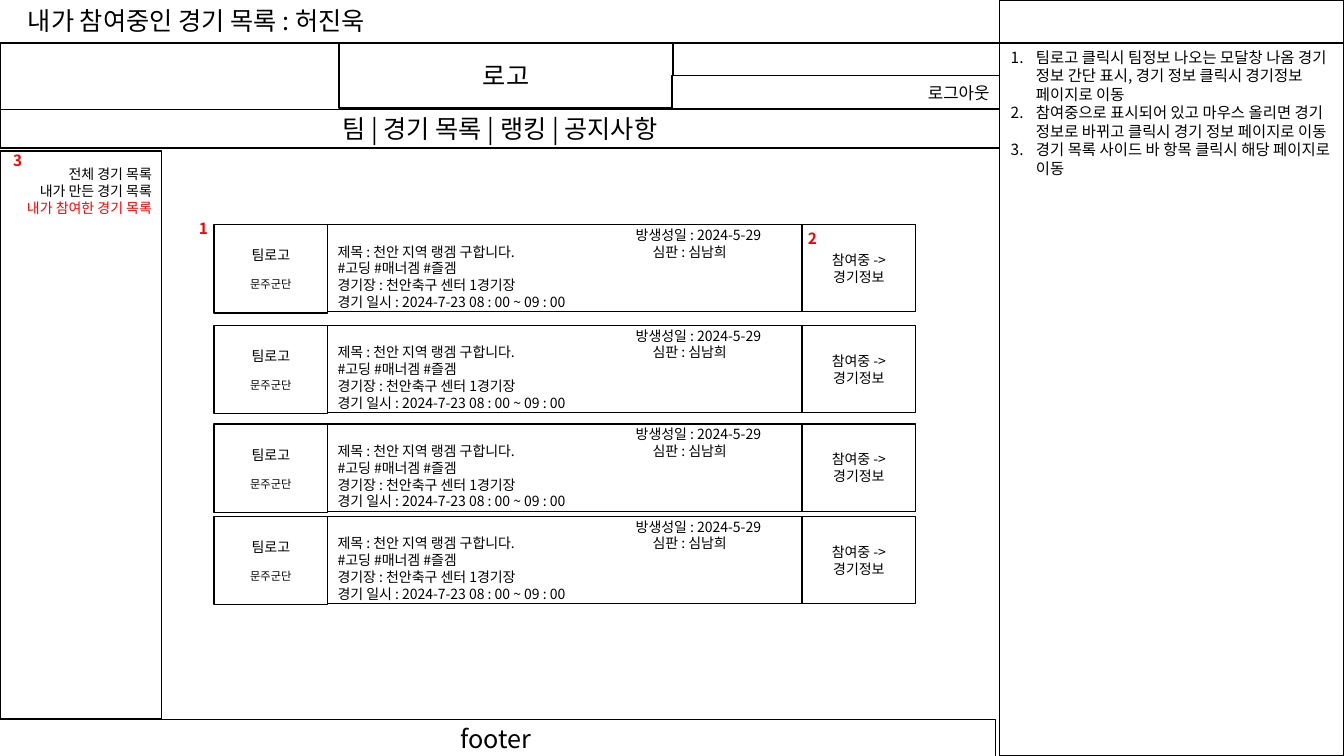
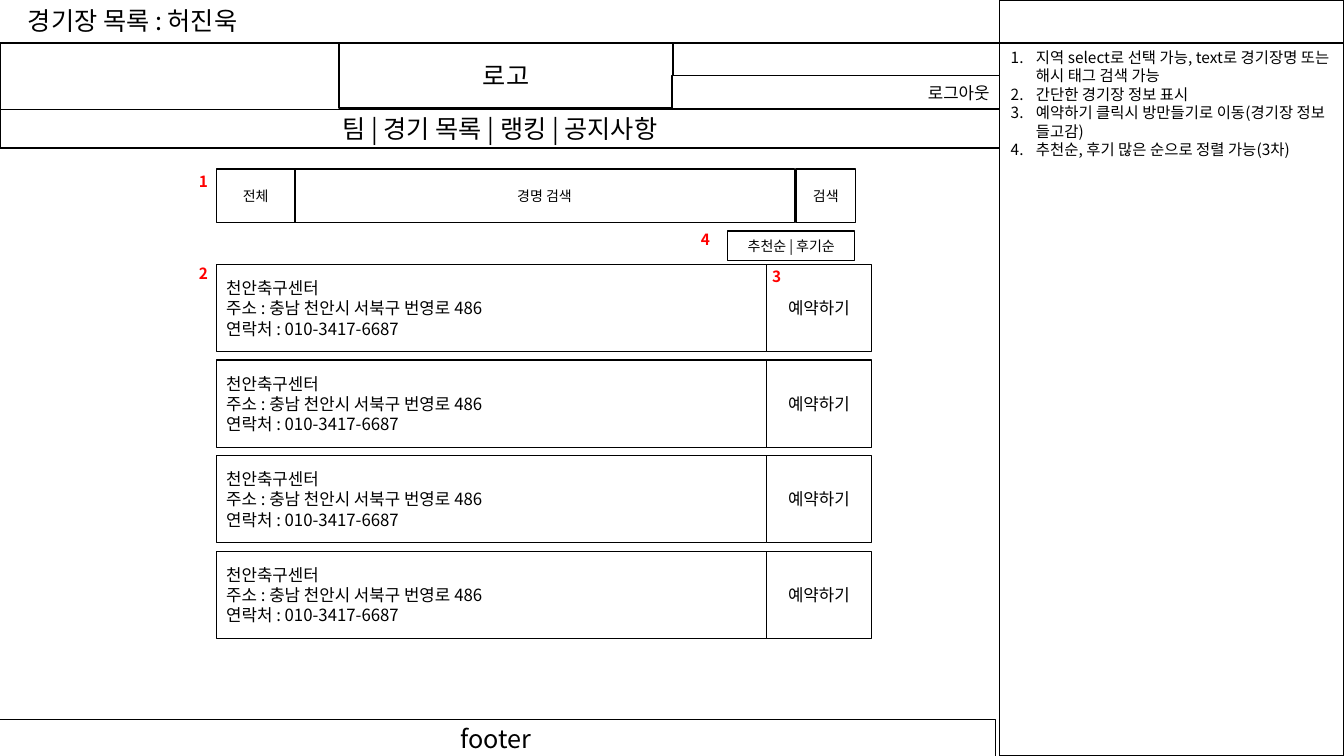
from dataclasses import dataclass
from typing import NamedTuple

from lxml import etree
from pptx import Presentation
from pptx.dml.color import RGBColor
from pptx.enum.shapes import MSO_SHAPE
from pptx.enum.text import MSO_ANCHOR, MSO_AUTO_SIZE, PP_ALIGN
from pptx.oxml.ns import qn
from pptx.shapes.autoshape import Shape
from pptx.slide import Slide, SlideLayout
from pptx.text.text import TextFrame
from pptx.util import Emu, Pt

RECTANGLE = MSO_SHAPE.RECTANGLE
LEFT, CENTER, RIGHT = PP_ALIGN.LEFT, PP_ALIGN.CENTER, PP_ALIGN.RIGHT
TOP, MIDDLE = MSO_ANCHOR.TOP, MSO_ANCHOR.MIDDLE
NO_AUTOFIT = MSO_AUTO_SIZE.NONE
EMU_PER_PX = 9525


@dataclass(frozen=True)
class Theme:
    font: str = "Noto Sans CJK KR"
    ink: RGBColor = RGBColor(0x00, 0x00, 0x00)
    paper: RGBColor = RGBColor(0xFF, 0xFF, 0xFF)
    accent: RGBColor = RGBColor(0xFF, 0x00, 0x00)
    heading: int = 18
    regular: int = 12
    note: int = 11
    small: int = 10
    tiny: int = 8
    line_width: int = 1
    line_height: float = 1.2


THEME = Theme()


class Box(NamedTuple):
    left: int
    top: int
    width: int
    height: int


class Line(NamedTuple):
    text: str
    size: int = THEME.small
    color: RGBColor = THEME.ink
    tab: int = 0
    space_before: int = 0


class Badge(NamedTuple):
    number: str
    left: int
    top: int


SLIDE_WIDTH, SLIDE_HEIGHT = 1280, 720
TITLE_BOX = Box(17, 0, 446, 38)
NOTES_BOX = Box(953, 41, 324, 187)
NOTE_INDENT = 24
PANELS = (Box(952, 41, 328, 679), Box(952, 0, 328, 41))

CARD_TOPS = (214, 310, 404, 492)
CARD_LINES = (
    Line("\t방생성일 : 2024-5-29", tab=284),
    Line("제목 : 천안 지역 랭겜 구합니다.\t심판 : 심남희", tab=300),
    Line("#고딩 #매너겜 #즐겜"),
    Line("경기장 : 천안축구 센터 1경기장"),
    Line("경기 일시 : 2024-7-23 08 : 00 ~ 09 : 00"),
)
TEAM_LINES = (Line("팀로고"), Line("문주군단", THEME.tiny, space_before=10))
SIDEBAR_LINES = (
    Line("전체 경기 목록"),
    Line("내가 만든 경기 목록"),
    Line("내가 참여한 경기 목록", color=THEME.accent),
)
VENUE_TOP, VENUE_PITCH, VENUE_COUNT = 252, 91, 4
VENUE_LINES = tuple(
    Line(text, THEME.regular)
    for text in (
        "천안축구센터",
        "주소 : 충남 천안시 서북구 번영로 486",
        "연락처 : 010-3417-6687",
    )
)

MATCH_NOTES = (
    "팀로고 클릭시 팀정보 나오는 모달창 나옴 경기 정보 간단 표시, 경기 정보 클릭시 경기정보 페이지로 이동",
    "참여중으로 표시되어 있고 마우스 올리면 경기 정보로 바뀌고 클릭시 경기 정보 페이지로 이동",
    "경기 목록 사이드 바 항목 클릭시 해당 페이지로 이동",
)
VENUE_NOTES = (
    "지역 select로 선택 가능, text로 경기장명 또는 해시 태그 검색 가능",
    "간단한 경기장 정보 표시",
    "예약하기 클릭시 방만들기로 이동(경기장 정보 들고감)",
    "추천순, 후기 많은 순으로 정렬 가능(3차)",
)
MATCH_BADGES = (Badge("3", 3, 139), Badge("1", 180, 204), Badge("2", 760, 213))
VENUE_BADGES = (
    Badge("1", 180, 159),
    Badge("2", 180, 247),
    Badge("3", 726, 250),
    Badge("4", 658, 214),
)


def px(value: int) -> Emu:
    return Emu(value * EMU_PER_PX)


def place(shape: Shape, box: Box) -> None:
    shape.left, shape.top, shape.width, shape.height = map(px, box)


def write(
    frame: TextFrame,
    lines: tuple[Line, ...],
    *,
    align: PP_ALIGN = LEFT,
    anchor: MSO_ANCHOR = TOP,
    bold: bool = False,
    numbered: bool = False,
) -> None:
    frame.word_wrap = True
    frame.auto_size = NO_AUTOFIT
    frame.vertical_anchor = anchor
    for index, line in enumerate(lines):
        paragraph = frame.add_paragraph() if index else frame.paragraphs[0]
        paragraph.alignment = align
        paragraph.line_spacing = Pt(line.size * THEME.line_height)
        paragraph.space_before = Pt(line.space_before)
        run = paragraph.add_run()
        run.text = line.text
        run.font.name = THEME.font
        run.font.size = Pt(line.size)
        run.font.bold = bold
        run.font.color.rgb = line.color
        run_properties = run._r.get_or_add_rPr()
        etree.SubElement(run_properties, qn("a:ea"), typeface=THEME.font)
        properties = paragraph._p.get_or_add_pPr()
        if numbered:
            properties.set("marL", str(px(NOTE_INDENT)))
            properties.set("indent", str(px(-NOTE_INDENT)))
            etree.SubElement(properties, qn("a:buAutoNum"), type="arabicPeriod")
        if line.tab:
            tabs = etree.SubElement(properties, qn("a:tabLst"))
            etree.SubElement(tabs, qn("a:tab"), pos=str(px(line.tab)), algn="l")


def draw_box(
    slide: Slide,
    box: Box,
    *lines: Line,
    align: PP_ALIGN = CENTER,
    anchor: MSO_ANCHOR = MIDDLE,
) -> Shape:
    shape = slide.shapes.add_shape(RECTANGLE, *map(px, box))
    shape.shadow.inherit = False
    shape.fill.solid()
    shape.fill.fore_color.rgb = THEME.paper
    shape.line.color.rgb = THEME.ink
    shape.line.width = Pt(THEME.line_width)
    write(shape.text_frame, lines, align=align, anchor=anchor)
    return shape


def draw_badges(slide: Slide, badges: tuple[Badge, ...]) -> None:
    for badge in badges:
        box = Box(badge.left, badge.top, 36, 28)
        shape = slide.shapes.add_textbox(*map(px, box))
        write(shape.text_frame, (Line(badge.number, THEME.note, THEME.accent),), bold=True)


def prepare_layout(layout: SlideLayout) -> None:
    """Keep only the title and body placeholders and put them in place."""
    boxes = {0: TITLE_BOX, 1: NOTES_BOX}
    for placeholder in list(layout.placeholders):
        box = boxes.get(placeholder.placeholder_format.idx)
        if box:
            place(placeholder, box)
        else:
            placeholder._element.getparent().remove(placeholder._element)


def move_panels_to_layout(slide: Slide) -> None:
    """Shapes can only be added to a slide, so the shared panels are moved after."""
    for panel in PANELS:
        shape = draw_box(slide, panel)
        slide.slide_layout.shapes._spTree.append(shape._element)


def add_page(
    presentation: Presentation, layout: SlideLayout, title: str, notes: tuple[str, ...]
) -> Slide:
    slide = presentation.slides.add_slide(layout)
    write(slide.shapes.title.text_frame, (Line(title, THEME.heading),))
    write(
        slide.placeholders[1].text_frame,
        tuple(Line(note, THEME.note) for note in notes),
        numbered=True,
    )
    draw_box(slide, Box(0, 41, 952, 100))
    draw_box(slide, Box(323, 41, 318, 62), Line("로고", THEME.heading))
    draw_box(
        slide,
        Box(0, 104, 952, 37),
        Line("팀 | 경기 목록 | 랭킹 | 공지사항", THEME.heading),
    )
    draw_box(slide, Box(640, 72, 312, 32), Line("로그아웃", THEME.regular), align=RIGHT)
    draw_box(slide, Box(-4, 685, 952, 37), Line("footer", THEME.heading))
    return slide


def draw_match_list(slide: Slide) -> None:
    sidebar = draw_box(
        slide, Box(0, 144, 154, 541), *SIDEBAR_LINES, align=RIGHT, anchor=TOP
    )
    sidebar.text_frame.margin_top = px(14)
    for top in CARD_TOPS:
        draw_box(slide, Box(312, top, 452, 83), *CARD_LINES, align=LEFT)
        draw_box(slide, Box(764, top, 108, 83), Line("참여중 -> 경기정보"))
        draw_box(slide, Box(204, top, 108, 84), *TEAM_LINES)
    draw_badges(slide, MATCH_BADGES)


def draw_venue_list(slide: Slide) -> None:
    draw_box(slide, Box(280, 161, 477, 51), Line("경명 검색"))
    draw_box(slide, Box(206, 161, 75, 51), Line("전체"))
    draw_box(slide, Box(758, 161, 57, 51), Line("검색"))
    draw_box(slide, Box(693, 220, 121, 28), Line("추천순 | 후기순"))
    for row in range(VENUE_COUNT):
        top = VENUE_TOP + row * VENUE_PITCH
        draw_box(slide, Box(206, top, 524, 83), *VENUE_LINES, align=LEFT)
        draw_box(slide, Box(730, top, 100, 83), Line("예약하기", THEME.regular))
    draw_badges(slide, VENUE_BADGES)


def main() -> None:
    presentation = Presentation()
    presentation.slide_width = px(SLIDE_WIDTH)
    presentation.slide_height = px(SLIDE_HEIGHT)
    layout = presentation.slide_layouts[1]
    prepare_layout(layout)

    matches = add_page(
        presentation, layout, "내가 참여중인 경기 목록 : 허진욱", MATCH_NOTES
    )
    move_panels_to_layout(matches)
    draw_match_list(matches)

    venues = add_page(presentation, layout, "경기장 목록 : 허진욱", VENUE_NOTES)
    draw_venue_list(venues)
    presentation.save("out.pptx")


if __name__ == "__main__":
    main()
